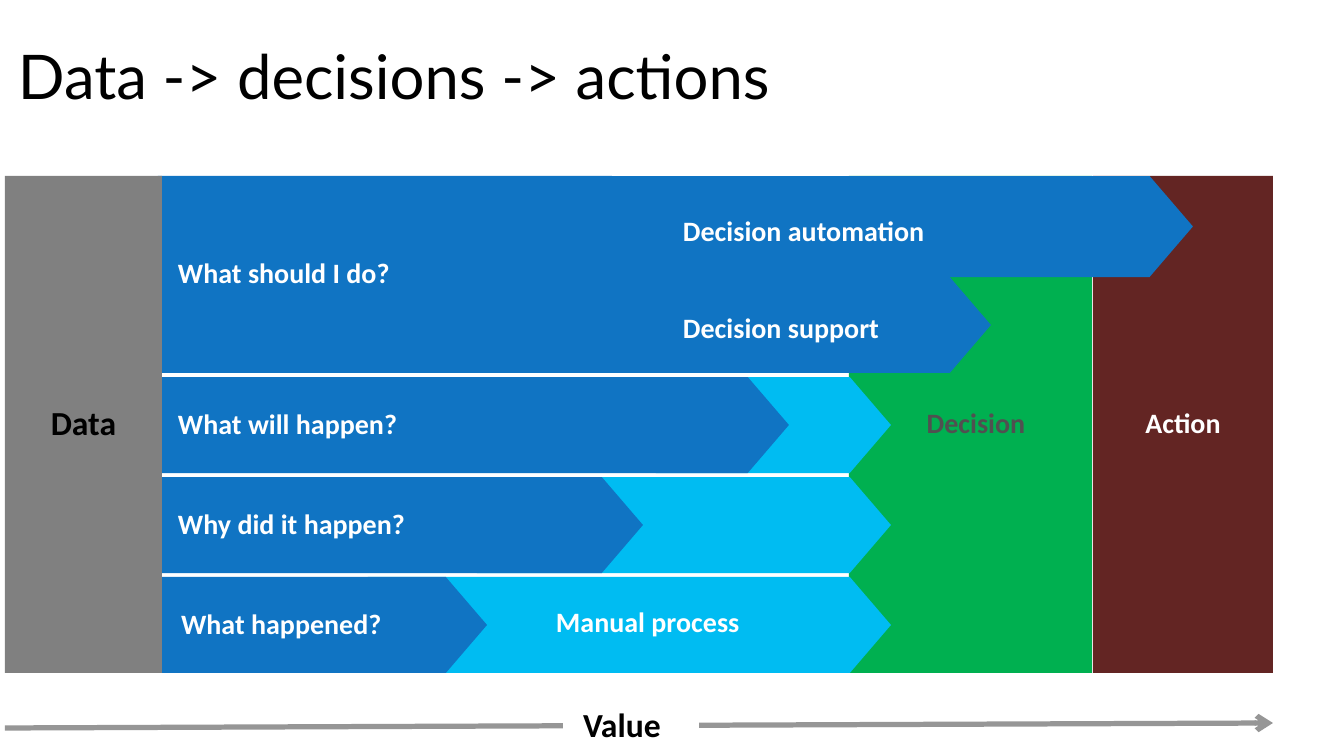
"""Builds the slide that maps data through decisions to actions."""
from dataclasses import dataclass

from lxml import etree
from pptx import Presentation
from pptx.dml.color import RGBColor
from pptx.enum.shapes import MSO_CONNECTOR, MSO_SHAPE
from pptx.enum.text import MSO_ANCHOR, PP_ALIGN
from pptx.oxml.ns import qn
from pptx.util import Pt

RECT, PLATE = MSO_SHAPE.RECTANGLE, MSO_SHAPE.PENTAGON
STRAIGHT = MSO_CONNECTOR.STRAIGHT
TOP, MIDDLE = MSO_ANCHOR.TOP, MSO_ANCHOR.MIDDLE
LEFT, CENTER = PP_ALIGN.LEFT, PP_ALIGN.CENTER
PX = 914400 / 100.8


def px(n):
    return round(n * PX)


@dataclass(frozen=True)
class Theme:
    white: str = "FFFFFF"
    black: str = "000000"
    blue: str = "1074C3"
    cyan: str = "00BCF2"
    green: str = "00B050"
    maroon: str = "632523"
    gray: str = "808080"
    line: str = "969696"
    dark: str = "505050"
    title_font: str = "Lato"
    body_font: str = "Calibri"
    title: int = 44
    large: int = 24
    body: int = 20


class Deck:
    def __init__(self, prs, theme):
        self.theme = theme
        self.s = prs.slides.add_slide(prs.slide_layouts[6])

    def set_text(self, sp, text, size, color, align=LEFT, anchor=TOP, font=None,
                 bold=True, inset=(20, 16), spacing=0.9, wrap=True):
        tf = sp.text_frame
        tf.text = text
        tf.word_wrap = wrap
        tf.vertical_anchor = anchor
        tf.margin_left = tf.margin_right = px(inset[0])
        tf.margin_top = tf.margin_bottom = px(inset[1])
        p = tf.paragraphs[0]
        p.alignment, p.line_spacing = align, spacing
        f = p.runs[0].font
        f.name, f.size, f.bold = font or self.theme.body_font, Pt(size), bold
        f.color.rgb = RGBColor.from_string(color)

    def shape(self, kind, x, y, w, h, fill):
        sp = self.s.shapes.add_shape(kind, px(x), px(y), px(w), px(h))
        sp.shadow.inherit = False
        sp.fill.solid()
        sp.fill.fore_color.rgb = RGBColor.from_string(fill)
        sp.line.fill.background()
        return sp

    def block(self, x, y, w, h, fill):
        return self.shape(RECT, x, y, w, h, fill)

    def plate(self, x, y, right, h, fill):
        sp = self.shape(PLATE, x, y, right - x, h, fill)
        sp.adjustments[0] = 0.429
        return sp

    def label(self, x, y, w, h, text, size, color, **style):
        sp = self.s.shapes.add_textbox(px(x), px(y), px(w), px(h))
        self.set_text(sp, text, size, color, **style)

    def arrow(self, x1, y1, x2, y2, color, width):
        c = self.s.shapes.add_connector(STRAIGHT, px(x1), px(y1), px(x2), px(y2))
        c.line.color.rgb = RGBColor.from_string(color)
        c.line.width = Pt(width)
        sp_pr = c._element.spPr
        etree.SubElement(sp_pr.find(qn("a:ln")), qn("a:tailEnd"), type="arrow")
        etree.SubElement(sp_pr, qn("a:effectLst"))


prs = Presentation()
prs.slide_width, prs.slide_height = px(1344), px(756)
t = Theme()
deck = Deck(prs, t)

top, bottom, row_h, pitch = 176, 673, 96, 100
support_y = 277
start, manual_right = 158, 891

deck.label(8, 47, 878, 101, "Data -> decisions -> actions", t.title, t.black,
           font=t.title_font, bold=False, inset=(10, 5), spacing=0.8)

action = deck.block(1093, top, 180, bottom - top, t.maroon)
deck.set_text(action, "Action", t.body, t.white, align=CENTER, anchor=MIDDLE)
deck.block(849, top, 243, bottom - top, t.green)
deck.label(896, 392, 160, 64, "Decision", t.body, t.dark, align=CENTER, anchor=MIDDLE)

questions = [
    ("What will happen?", start, 789, 656),
    ("Why did it happen?", start, 643, 477),
    ("What happened?", 161, 487, 368),
]
for i, (question, left, right, manual_left) in enumerate(questions, 1):
    y = support_y + i * pitch
    deck.plate(manual_left, y, manual_right, row_h, t.cyan)
    sp = deck.plate(left, y, right, row_h, t.blue)
    deck.set_text(sp, question, t.body, t.white, anchor=MIDDLE)
deck.label(536, 593, 371, 64, "Manual process", t.body, t.white)

deck.plate(start, support_y, 991, row_h, t.blue)
deck.plate(start, top, 1193, support_y - top, t.blue)
advice = deck.block(start, top, 454, support_y + row_h - top, t.blue)
deck.set_text(advice, "What should I do?", t.body, t.white, anchor=MIDDLE)
for y, w, text in [(202, 284, "Decision automation"), (299, 239, "Decision support")]:
    deck.label(663, y, w, 64, text, t.body, t.white, wrap=False)

data = deck.block(5, top, 157, bottom - top, t.gray)
deck.set_text(data, "Data", t.large, t.black, align=CENTER, anchor=MIDDLE)

deck.arrow(5, 728, 1273, 723, t.line, 3.75)
value = deck.block(563, 692, 136, 64, t.white)
deck.set_text(value, "Value", t.large, t.black)

prs.save("out.pptx")
